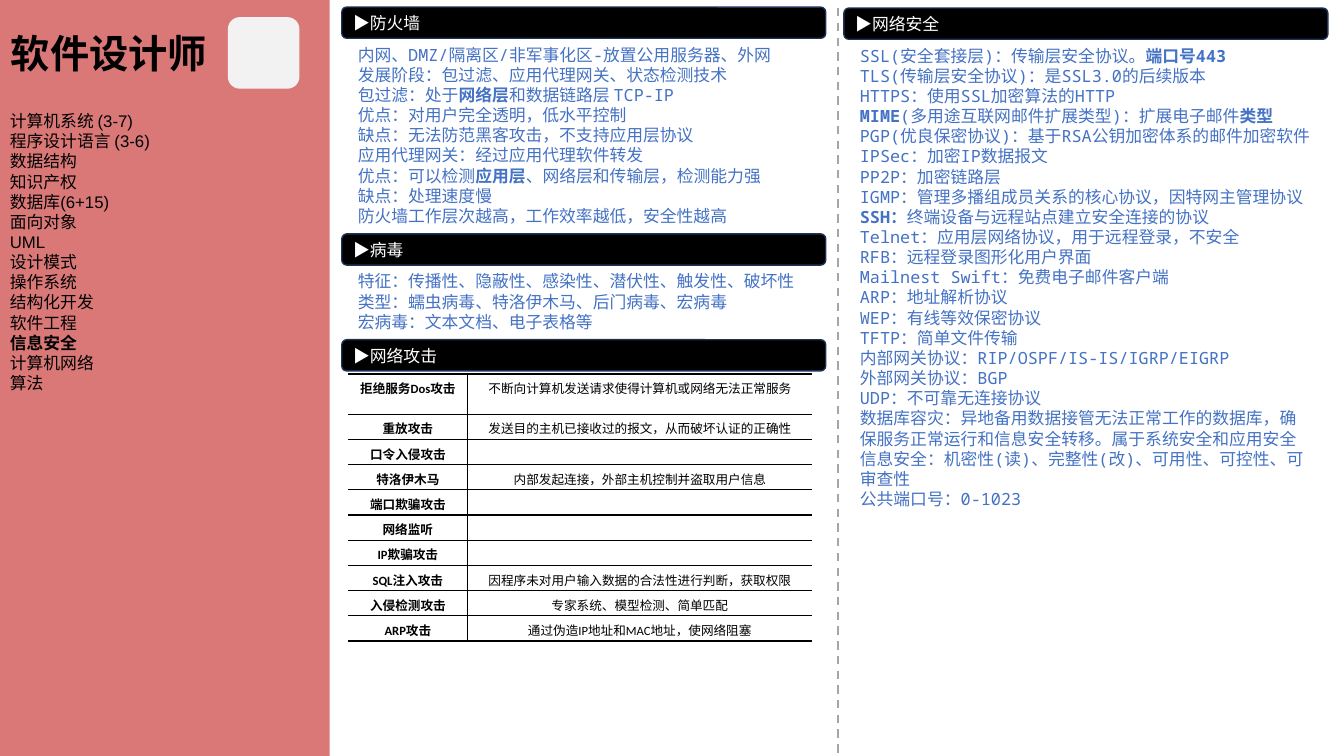
"""Build a one-page study sheet on information security."""
from pptx import Presentation, util as u
from pptx.dml.color import RGBColor
from pptx.enum import dml, shapes, text
from pptx.oxml.ns import qn
from lxml import etree

MONO = "Noto Sans Mono"
CJK = "Noto Sans CJK SC"
BLACK, BLUE, WHITE = "000000", "4472C4", "FFFFFF"
LINE_FACTOR = 1.2

TITLE = ["软件设计师"]
TOPICS = [
    "计算机系统 (3-7)", "程序设计语言 (3-6)", "数据结构", "知识产权", "数据库(6+15)",
    "面向对象", "UML", "设计模式", "操作系统", "结构化开发", "软件工程",
    "|信息安全|", "计算机网络", "算法",
]
FIREWALL = [
    "内网、DMZ/隔离区/非军事化区-放置公用服务器、外网",
    "发展阶段：包过滤、应用代理网关、状态检测技术",
    "包过滤：处于|网络层|和数据链路层 TCP-IP",
    "优点：对用户完全透明，低水平控制",
    "缺点：无法防范黑客攻击，不支持应用层协议",
    "应用代理网关：经过应用代理软件转发",
    "优点：可以检测|应用层|、网络层和传输层，检测能力强",
    "缺点：处理速度慢",
    "防火墙工作层次越高，工作效率越低，安全性越高",
]
VIRUS = [
    "特征：传播性、隐蔽性、感染性、潜伏性、触发性、破坏性",
    "类型：蠕虫病毒、特洛伊木马、后门病毒、宏病毒",
    "宏病毒：文本文档、电子表格等",
]
NETWORK_SECURITY = [
    "SSL(安全套接层)：传输层安全协议。|端口号443|",
    "TLS(传输层安全协议)：是SSL3.0的后续版本",
    "HTTPS：使用SSL加密算法的HTTP",
    "|MIME|(多用途互联网邮件扩展类型)：扩展电子邮件|类型|",
    "PGP(优良保密协议)：基于RSA公钥加密体系的邮件加密软件",
    "IPSec：加密IP数据报文",
    "PP2P：加密链路层",
    "IGMP：管理多播组成员关系的核心协议，因特网主管理协议",
    "|SSH：|终端设备与远程站点建立安全连接的协议",
    "Telnet：应用层网络协议，用于远程登录，不安全",
    "RFB：远程登录图形化用户界面",
    "Mailnest Swift：免费电子邮件客户端",
    "ARP：地址解析协议",
    "WEP：有线等效保密协议",
    "TFTP：简单文件传输",
    "内部网关协议：RIP/OSPF/IS-IS/IGRP/EIGRP",
    "外部网关协议：BGP",
    "UDP：不可靠无连接协议",
    "数据库容灾：异地备用数据接管无法正常工作的数据库，确保服务正常运行和信息安全转移。属于系统安全和应用安全",
    "信息安全：机密性(读)、完整性(改)、可用性、可控性、可审查性",
    "公共端口号：0-1023",
]
SECTIONS = [
    ("防火墙", 3.39, 0.07, 1.92, FIREWALL),
    ("网络安全", 8.37, 0.08, 4.75, NETWORK_SECURITY),
    ("病毒", 3.39, 2.32, 0.71, VIRUS),
    ("网络攻击", 3.39, 3.37, 0, []),
]
ATTACKS = [
    ("拒绝服务Dos攻击", "不断向计算机发送请求使得计算机或网络无法正常服务"),
    ("重放攻击", "发送目的主机已接收过的报文，从而破坏认证的正确性"),
    ("口令入侵攻击", ""),
    ("特洛伊木马", "内部发起连接，外部主机控制并盗取用户信息"),
    ("端口欺骗攻击", ""),
    ("网络监听", ""),
    ("IP欺骗攻击", ""),
    ("SQL注入攻击", "因程序未对用户输入数据的合法性进行判断，获取权限"),
    ("入侵检测攻击", "专家系统、模型检测、简单匹配"),
    ("ARP攻击", "通过伪造IP地址和MAC地址，使网络阻塞"),
]


def color(value):
    return RGBColor.from_string(value)


def box(*lengths):
    return [u.Inches(length) for length in lengths]


def style_font(font, name, size, ink, bold=False):
    font.name, font.size, font.bold = name, u.Pt(size), bold
    font.color.rgb = color(ink)


def style_run(run, name, size, ink, bold=False):
    style_font(run.font, name, size, ink, bold)
    east_asian = etree.SubElement(run.font._element, qn("a:ea"))
    east_asian.set("typeface", CJK)


def write(frame, lines, name, size, ink, bold=False):
    for index, line in enumerate(lines):
        paragraph = frame.add_paragraph() if index else frame.paragraphs[0]
        paragraph.line_spacing = u.Pt(size * LINE_FACTOR)
        for part, words in enumerate(line.split("|")):
            if words:
                run = paragraph.add_run()
                run.text = words
                style_run(run, name, size, ink, bold or part % 2 == 1)


def add_text(slide, place, lines, name, size, ink, bold=False, wrap=True):
    frame = slide.shapes.add_textbox(*box(*place)).text_frame
    frame.word_wrap = wrap
    write(frame, lines, name, size, ink, bold)


def add_block(slide, kind, place, fill):
    shape = slide.shapes.add_shape(kind, *box(*place))
    shape.shadow.inherit = False
    shape.fill.solid()
    shape.fill.fore_color.rgb = color(fill)
    shape.line.fill.background()
    return shape


def add_section(slide, heading, left, top, height, lines):
    bar = add_block(slide, shapes.MSO_SHAPE.ROUNDED_RECTANGLE, (left, top, 4.8, 0.31), BLACK)
    bar.adjustments[0] = 0.16
    bar.line.color.rgb = color("1E3256")
    bar.line.width = u.Pt(1)
    frame = bar.text_frame
    frame.vertical_anchor = text.MSO_ANCHOR.MIDDLE
    write(frame, ["▶" + heading], MONO, 12, WHITE)
    frame.paragraphs[0].alignment = text.PP_ALIGN.LEFT
    if lines:
        add_text(slide, (left + 0.06, top + 0.32, 4.68, height), lines, MONO, 12, BLUE)


def add_divider(slide):
    divider = slide.shapes.add_connector(
        shapes.MSO_CONNECTOR.STRAIGHT, *box(8.31, 0.08, 8.31, 7.47))
    divider.line.color.rgb = color("A5A5A5")
    divider.line.width = u.Pt(1.5)
    divider.line.dash_style = dml.MSO_LINE.DASH
    etree.SubElement(divider._element.spPr, qn("a:effectLst"))


def set_borders(cell, visible):
    properties = cell._tc.get_or_add_tcPr()
    for side in "LRTB":
        edge = etree.SubElement(properties, qn("a:ln" + side), w=str(u.Pt(1)))
        if side in visible:
            fill = etree.SubElement(edge, qn("a:solidFill"))
            etree.SubElement(fill, qn("a:srgbClr"), val=BLACK)
        else:
            etree.SubElement(edge, qn("a:noFill"))


def add_attack_table(slide):
    table = slide.shapes.add_table(len(ATTACKS), 2, *box(3.45, 3.71, 4.6, 2.65)).table
    table.first_row = table.horz_banding = False
    for column, width in zip(table.columns, (1.19, 3.41)):
        column.width = u.Inches(width)
    for row_index, row in enumerate(ATTACKS):
        table.rows[row_index].height = u.Inches(0.25 if row_index else 0.4)
        for column_index, words in enumerate(row):
            cell = table.cell(row_index, column_index)
            cell.margin_bottom = 0
            set_borders(cell, "LTB" if column_index else "RTB")
            cell.fill.background()
            paragraph = cell.text_frame.paragraphs[0]
            paragraph.alignment = text.PP_ALIGN.CENTER
            paragraph.text = words
            if not words:
                style_font(paragraph.font, "Calibri", 9, BLACK)
            for run in paragraph.runs:
                style_run(run, "Calibri", 9, BLACK, column_index == 0)


def main():
    presentation = Presentation()
    presentation.slide_width, presentation.slide_height = box(13.33, 7.5)
    slide = presentation.slides.add_slide(presentation.slide_layouts[6])
    add_block(slide, shapes.MSO_SHAPE.RECTANGLE, (0, 0, 3.27, 7.5), "DA7878")
    add_block(slide, shapes.MSO_SHAPE.ROUNDED_RECTANGLE, (2.26, 0.17, 0.71, 0.71), "F2F2F2")
    add_text(slide, (0, 1.05, 3.27, 2.93), TOPICS, "Arial", 12, BLACK)
    add_text(slide, (0.01, 0.24, 2.17, 0.57), TITLE, "Arial", 28, BLACK, bold=True, wrap=False)
    add_divider(slide)
    for section in SECTIONS:
        add_section(slide, *section)
    add_attack_table(slide)
    presentation.save("out.pptx")


if __name__ == "__main__":
    main()
